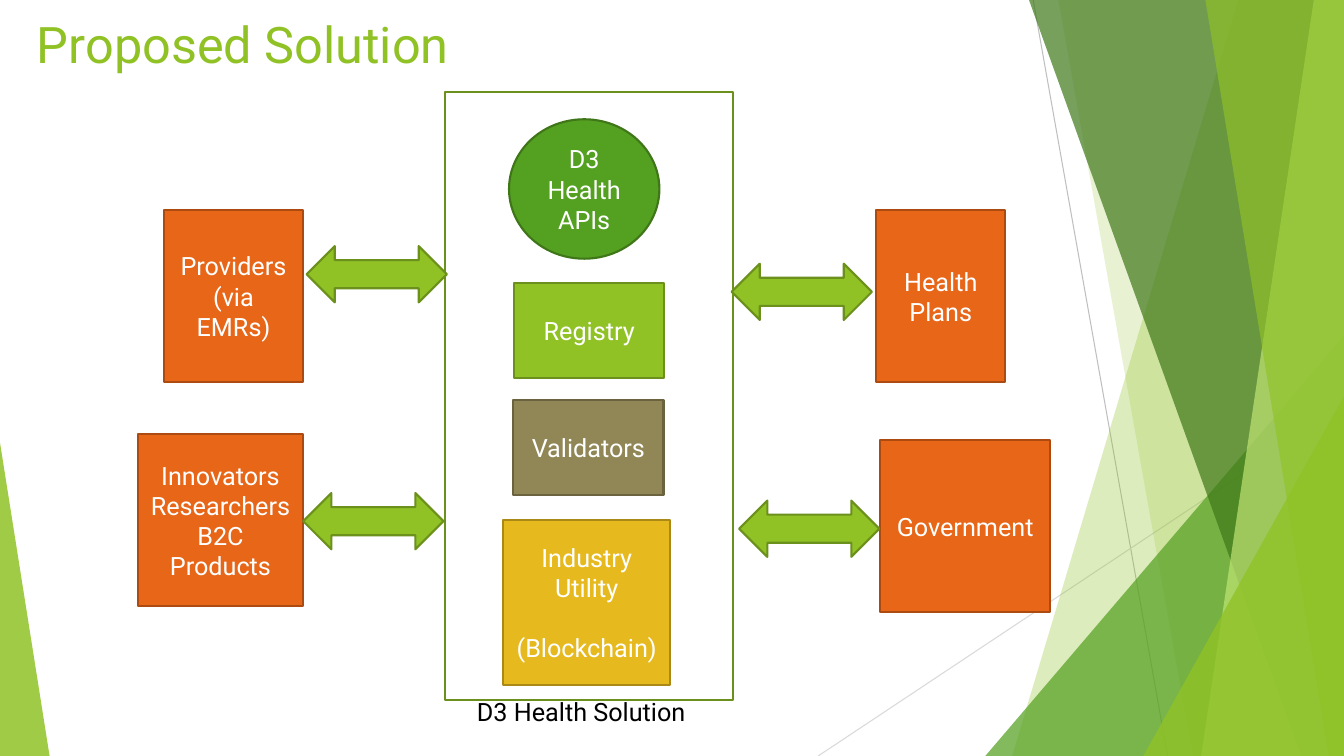
from dataclasses import dataclass

import lxml.etree
import pptx
import pptx.dml.color
import pptx.enum.shapes
import pptx.enum.text
import pptx.oxml.ns
import pptx.util

RGB = pptx.dml.color.RGBColor
KIND = pptx.enum.shapes.MSO_SHAPE
ALIGN = pptx.enum.text.PP_ALIGN
ANCHOR = pptx.enum.text.MSO_ANCHOR

# The slide is a grid of 160 columns by 90 rows of square cells.
COLS, ROWS = 160, 90
WIDTH, HEIGHT = pptx.util.Inches(13.33), pptx.util.Inches(7.5)

WHITE = RGB(0xFF, 0xFF, 0xFF)
BLACK = RGB(0, 0, 0)
LIME = RGB(0x90, 0xC2, 0x26)
LIME_EDGE = RGB(0x6B, 0x90, 0x1C)
PALE_LIME = RGB(0xC0, 0xE4, 0x74)
GREEN = RGB(0x54, 0xA0, 0x21)
GREEN_EDGE = RGB(0x3E, 0x76, 0x18)
DARK_GREEN = RGB(0x3F, 0x78, 0x19)
ORANGE = RGB(0xE7, 0x66, 0x18)
ORANGE_EDGE = RGB(0xAB, 0x4B, 0x12)
GOLD = RGB(0xE6, 0xB9, 0x1E)
GOLD_EDGE = RGB(0xAA, 0x89, 0x16)
OLIVE = RGB(0x91, 0x86, 0x55)
OLIVE_EDGE = RGB(0x6B, 0x63, 0x3F)
GREY = RGB(0xBF, 0xBF, 0xBF)
LIGHT_GREY = RGB(0xD9, 0xD9, 0xD9)


@dataclass
class Box:
    col: float
    row: float
    cols: float
    rows: float
    fill: RGB | None
    edge: RGB | None
    text: tuple[str, ...] = ()
    kind: KIND = KIND.RECTANGLE
    gap: float = 0


@dataclass
class Band:
    """A full-height stripe from its left edge to the right of the slide."""
    top_col: float
    bottom_col: float
    color: RGB
    opacity: int


@dataclass
class Wedge:
    """A right triangle standing on the bottom edge; apex 0 is left, 1 right."""
    col: float
    row: float
    cols: float
    apex: int
    color: RGB
    opacity: int


@dataclass
class Ray:
    start: tuple[float, float]
    end: tuple[float, float]
    color: RGB


DECOR = [
    Ray((123, 0), (139, ROWS), GREY),
    Ray((COLS, 48.4), (97.4, ROWS), LIGHT_GREY),
    Band(147.4, 120.5, LIME, 30),
    Band(126, 142, LIME, 20),
    Wedge(117.3, 40, 42.7, 1, GREEN, 72),
    Band(122.5, 154.9, DARK_GREEN, 70),
    Band(156.4, 143, PALE_LIME, 70),
    Band(143.5, 158.2, LIME, 65),
    Wedge(136.1, 47.2, 23.9, 1, LIME, 80),
    Wedge(0, 52.7, 5.9, 0, LIME, 85),
]
PARTY_ROWS = 20.5
BOXES = [
    Box(59.9, 61.9, 19.9, 19.6, GOLD, GOLD_EDGE,
        ("Industry Utility", "(Blockchain)"), gap=21.5),
    Box(60.6, 14.2, 17.9, 16.6, GREEN, GREEN_EDGE, ("D3 Health", "APIs"), KIND.OVAL),
    Box(19.5, 25, 16.6, PARTY_ROWS, ORANGE, ORANGE_EDGE, ("Providers", "(via EMRs)")),
    Box(104.3, 25, 15.4, PARTY_ROWS, ORANGE, ORANGE_EDGE, ("Health Plans",)),
    Box(104.8, 52.4, 20.2, PARTY_ROWS, ORANGE, ORANGE_EDGE, ("Government",)),
    Box(16.4, 51.7, 19.7, PARTY_ROWS, ORANGE, ORANGE_EDGE,
        ("Innovators", "Researchers", "B2C Products")),
    Box(53, 10.9, 34.3, 72.4, None, LIME_EDGE),
    *(Box(col, row, 16.7, 6.7, LIME, LIME_EDGE, kind=KIND.LEFT_RIGHT_ARROW)
      for col, row in ((36.5, 29.3), (36.1, 58.7), (87.1, 31.4), (88, 59.6))),
    Box(61.2, 33.7, 17.9, 11.3, LIME, LIME_EDGE, ("Registry",)),
    Box(61.1, 47.6, 17.9, 11.3, OLIVE, OLIVE_EDGE, ("Validators",)),
]


def x(col: float) -> int:
    return round(WIDTH * col / COLS)


def y(row: float) -> int:
    return round(HEIGHT * row / ROWS)


def place(col: float, row: float, cols: float, rows: float) -> tuple[int, int, int, int]:
    return x(col), y(row), x(cols), y(rows)


def write(tf, lines: tuple[str, ...], *, size: float = 18, color: RGB = WHITE,
          align: ALIGN = ALIGN.CENTER, anchor: ANCHOR = ANCHOR.MIDDLE,
          gap: float = 0) -> None:
    """Write one paragraph per line, with gap points between them."""
    tf.word_wrap = True
    tf.vertical_anchor = anchor
    for i, line in enumerate(lines):
        p = tf.add_paragraph() if i else tf.paragraphs[0]
        p.alignment = align
        p.space_before = pptx.util.Pt(gap if i else 0)
        r = p.add_run()
        r.text = line
        r.font.name = "Roboto"
        r.font.size = pptx.util.Pt(size)
        r.font.color.rgb = color


def paint(sp, fill: RGB | None, edge: RGB | None, opacity: int = 100) -> None:
    sp.shadow.inherit = False
    if fill is None:
        sp.fill.background()
    else:
        sp.fill.solid()
        sp.fill.fore_color.rgb = fill
        if opacity < 100:
            solid = sp._element.spPr.find(pptx.oxml.ns.qn("a:solidFill"))
            lxml.etree.SubElement(
                solid[0], pptx.oxml.ns.qn("a:alpha"), val=str(opacity * 1000))
    if edge is None:
        sp.line.fill.background()
    else:
        sp.line.color.rgb = edge
        sp.line.width = pptx.util.Pt(1.5)


def draw_ray(s, ray: Ray) -> None:
    line = s.shapes.add_connector(
        pptx.enum.shapes.MSO_CONNECTOR.STRAIGHT,
        x(ray.start[0]), y(ray.start[1]), x(ray.end[0]), y(ray.end[1]))
    line.line.color.rgb = ray.color
    line.line.width = pptx.util.Pt(0.75)
    lxml.etree.SubElement(line._element.spPr, pptx.oxml.ns.qn("a:effectLst"))


def draw_band(s, band: Band) -> None:
    outline = s.shapes.build_freeform(x(band.top_col), 0)
    outline.add_line_segments(
        [(WIDTH, 0), (WIDTH, HEIGHT), (x(band.bottom_col), HEIGHT)], close=True)
    paint(outline.convert_to_shape(), band.color, None, band.opacity)


def draw_wedge(s, wedge: Wedge) -> None:
    sp = s.shapes.add_shape(
        KIND.ISOSCELES_TRIANGLE,
        *place(wedge.col, wedge.row, wedge.cols, ROWS - wedge.row))
    sp.adjustments[0] = wedge.apex
    paint(sp, wedge.color, None, wedge.opacity)


def draw_box(s, box: Box) -> None:
    sp = s.shapes.add_shape(box.kind, *place(box.col, box.row, box.cols, box.rows))
    paint(sp, box.fill, box.edge)
    if box.text:
        write(sp.text_frame, box.text, gap=box.gap)


def main() -> None:
    prs = pptx.Presentation()
    prs.slide_width, prs.slide_height = WIDTH, HEIGHT
    s = prs.slides.add_slide(prs.slide_layouts[5])
    title = s.shapes.title
    title.left, title.top, title.width, title.height = place(3.2, 1, 112.8, 10)
    write(title.text_frame, ("Proposed Solution",), size=36, color=LIME,
          align=ALIGN.LEFT, anchor=ANCHOR.TOP)

    draw = {Ray: draw_ray, Band: draw_band, Wedge: draw_wedge}
    for item in DECOR:
        draw[type(item)](s, item)
    for box in BOXES:
        draw_box(s, box)
    caption = s.shapes.add_textbox(*place(55.6, 82.3, 32, 4.8))
    write(caption.text_frame, ("D3 Health Solution",), color=BLACK,
          align=ALIGN.LEFT, anchor=ANCHOR.TOP)
    prs.save("out.pptx")


if __name__ == "__main__":
    main()
